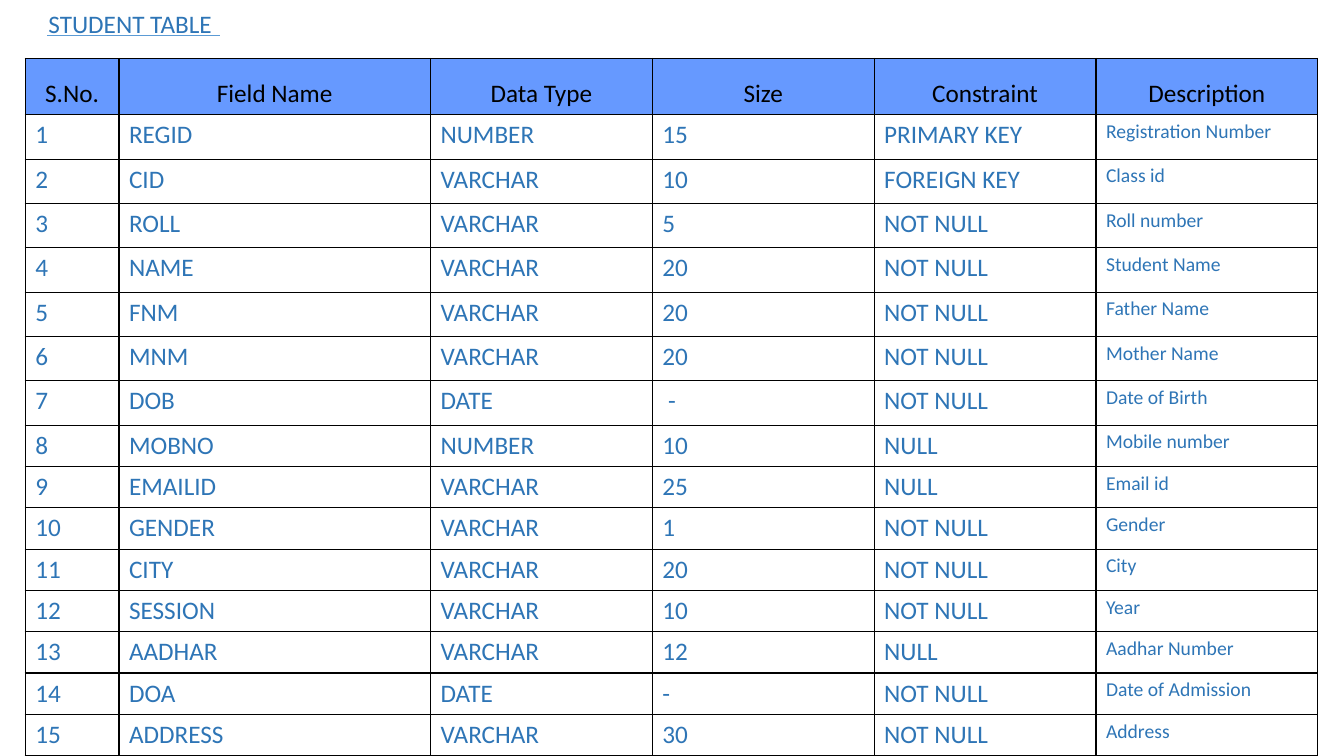
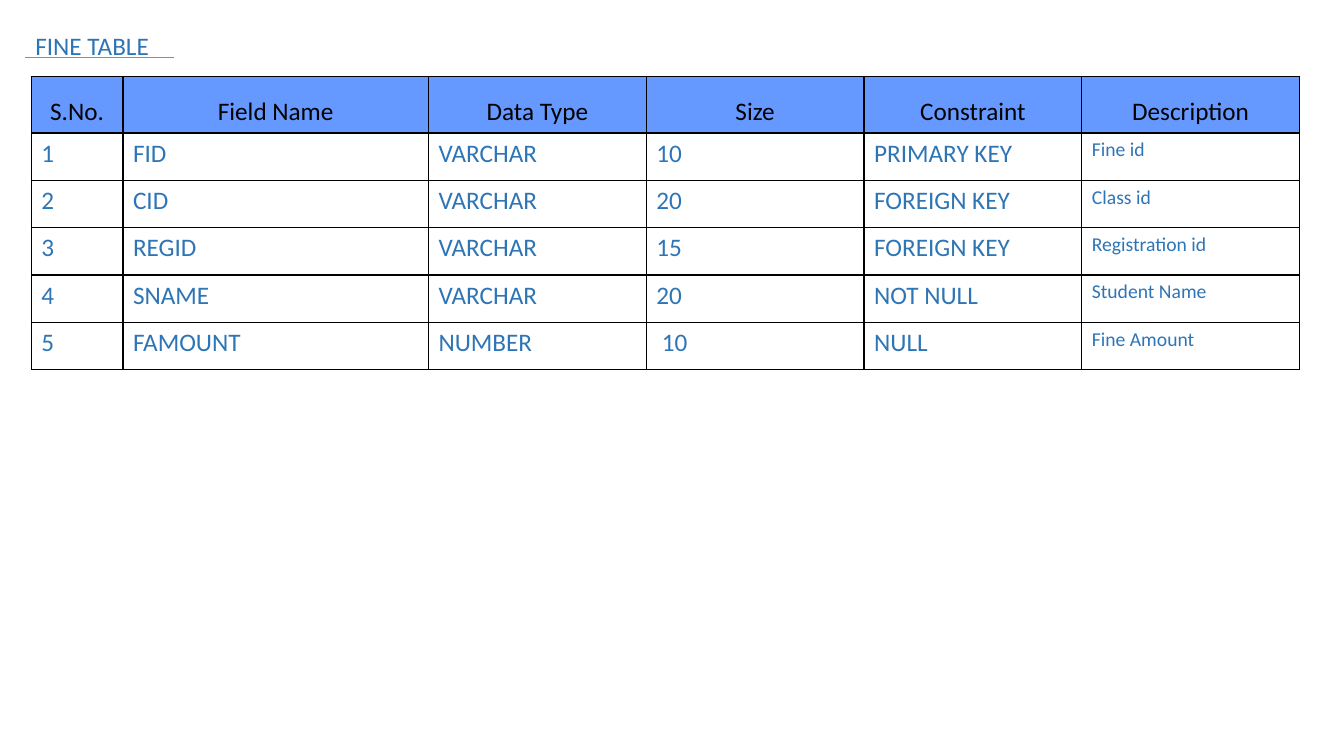
"""Build two slides that describe the student and fine database tables."""
from typing import Any, NamedTuple

from lxml import etree
from pptx import Presentation
from pptx.dml.color import RGBColor
from pptx.enum import shapes, text
from pptx.oxml import ns
from pptx.util import Inches, Pt

BLACK = RGBColor(0x00, 0x00, 0x00)
BLUE = RGBColor(0x2E, 0x75, 0xB6)
HEAD = RGBColor(0x66, 0x99, 0xFF)
RULE = RGBColor(0x5B, 0x9B, 0xD5)

BASE = {"name": "Calibri", "size": Pt(18), "bold": False}
HEADER = BASE | {"color": BLACK}
BODY = BASE | {"color": BLUE}
NOTE = BODY | {"size": Pt(14)}
FRAME = {
    "word_wrap": True,
    "vertical_anchor": text.MSO_ANCHOR.TOP,
    "auto_size": text.MSO_AUTO_SIZE.SHAPE_TO_FIT_TEXT,
}
CENTER = {"alignment": text.PP_ALIGN.CENTER, "line_spacing": 1.5}
LEFT = {"alignment": text.PP_ALIGN.LEFT}

LABELS = ("S.No.", "Field Name", "Data Type", "Size", "Constraint", "Description")


class Field(NamedTuple):
    name: str
    kind: str
    size: str
    limit: str
    note: str


class Page(NamedTuple):
    title: str
    spot: tuple[float, float]
    rule: tuple[float, float, float]
    grid: tuple[float, float]
    cols: tuple[float, ...]
    rows: tuple[float, ...]
    fields: tuple[Field, ...]


STUDENT = (
    Field("REGID", "NUMBER", "15", "PRIMARY KEY", "Registration Number"),
    Field("CID", "VARCHAR", "10", "FOREIGN KEY", "Class id"),
    Field("ROLL", "VARCHAR", "5", "NOT NULL", "Roll number"),
    Field("NAME", "VARCHAR", "20", "NOT NULL", "Student Name"),
    Field("FNM", "VARCHAR", "20", "NOT NULL", "Father Name"),
    Field("MNM", "VARCHAR", "20", "NOT NULL", "Mother Name"),
    Field("DOB", "DATE", " -", "NOT NULL", "Date of Birth"),
    Field("MOBNO", "NUMBER", "10", "NULL", "Mobile number"),
    Field("EMAILID", "VARCHAR", "25", "NULL", "Email id"),
    Field("GENDER", "VARCHAR", "1", "NOT NULL", "Gender"),
    Field("CITY", "VARCHAR", "20", "NOT NULL", "City"),
    Field("SESSION", "VARCHAR", "10", "NOT NULL", "Year"),
    Field("AADHAR", "VARCHAR", "12", "NULL", "Aadhar Number"),
    Field("DOA", "DATE", "-", "NOT NULL", "Date of Admission"),
    Field("ADDRESS", "VARCHAR", "30", "NOT NULL", "Address"),
)
FINE = (
    Field("FID", "VARCHAR", "10", "PRIMARY KEY", "Fine id"),
    Field("CID", "VARCHAR", "20", "FOREIGN KEY", "Class id"),
    Field("REGID", "VARCHAR", "15", "FOREIGN KEY", "Registration id"),
    Field("SNAME", "VARCHAR", "20", "NOT NULL", "Student Name"),
    Field("FAMOUNT", "NUMBER", " 10", "NULL", "Fine Amount"),
)
PAGES = (
    Page("STUDENT TABLE", (0.38, 0.03), (0.47, 2.18, 0.35), (0.25, 0.58),
         (0.93, 3.09) + (2.2,) * 4, (0.56,) + (0.44,) * 7 + (0.41,) * 8, STUDENT),
    Page("FINE TABLE", (0.25, 0.25), (0.25, 1.73, 0.57), (0.31, 0.76),
         (0.91, 3.03) + (2.16,) * 4, (0.56,) + (0.47,) * 5, FINE),
)


def apply(item: Any, values: dict[str, Any]) -> None:
    """Set each format value on an item."""
    for key, value in values.items():
        if key == "color":
            item.color.rgb = value
        else:
            setattr(item, key, value)


def write(frame: Any, words: str, font: dict[str, Any], para: dict[str, Any]) -> None:
    """Put one formatted run of text in a frame."""
    line = frame.paragraphs[0]
    apply(line, para)
    run = line.add_run()
    run.text = words
    apply(run.font, font)


def border(cell: Any) -> None:
    """Draw a thin black line on all sides of a cell."""
    props = cell._tc.get_or_add_tcPr()
    for spot, side in enumerate(("lnL", "lnR", "lnT", "lnB")):
        edge = etree.Element(ns.qn(f"a:{side}"), w=str(Pt(1)))
        fill = etree.SubElement(edge, ns.qn("a:solidFill"))
        etree.SubElement(fill, ns.qn("a:srgbClr"), val=str(BLACK))
        props.insert(spot, edge)


def draw_title(slide: Any, page: Page) -> None:
    """Place the title and the line below it."""
    title = slide.shapes.title
    left, top = page.spot
    apply(title, {"left": Inches(left), "top": Inches(top),
                  "width": Inches(2.79), "height": Inches(0.4)})
    apply(title.text_frame, FRAME)
    write(title.text_frame, page.title, BODY, LEFT)
    start, end, level = page.rule
    rule = slide.shapes.add_connector(
        shapes.MSO_CONNECTOR.STRAIGHT,
        Inches(start), Inches(level), Inches(end), Inches(level))
    apply(rule.line, {"color": RULE, "width": Pt(0.5)})
    etree.SubElement(rule._element.spPr, ns.qn("a:effectLst"))


def draw_grid(slide: Any, page: Page) -> None:
    """Fill the table with the header and the numbered fields."""
    left, top = page.grid
    grid = slide.shapes.add_table(
        len(page.rows), len(page.cols), Inches(left), Inches(top),
        Inches(sum(page.cols)), Inches(sum(page.rows))).table
    grid.horz_banding = False
    for col, width in zip(grid.columns, page.cols):
        col.width = Inches(width)
    for row, height in zip(grid.rows, page.rows):
        row.height = Inches(height)
    lines = [LABELS] + [(str(n), *field) for n, field in enumerate(page.fields, 1)]
    for r, line in enumerate(lines):
        for c, words in enumerate(line):
            cell = grid.cell(r, c)
            if r == 0:
                cell.fill.solid()
                cell.fill.fore_color.rgb = HEAD
                write(cell.text_frame, words, HEADER, CENTER)
            else:
                cell.fill.background()
                font = NOTE if c == len(LABELS) - 1 else BODY
                write(cell.text_frame, words, font, LEFT)
            border(cell)


def main() -> None:
    """Build and save the deck."""
    deck = Presentation()
    apply(deck, {"slide_width": Inches(13.33), "slide_height": Inches(7.5)})
    for page in PAGES:
        slide = deck.slides.add_slide(deck.slide_layouts[5])
        draw_grid(slide, page)
        draw_title(slide, page)
    deck.save("out.pptx")


if __name__ == "__main__":
    main()
